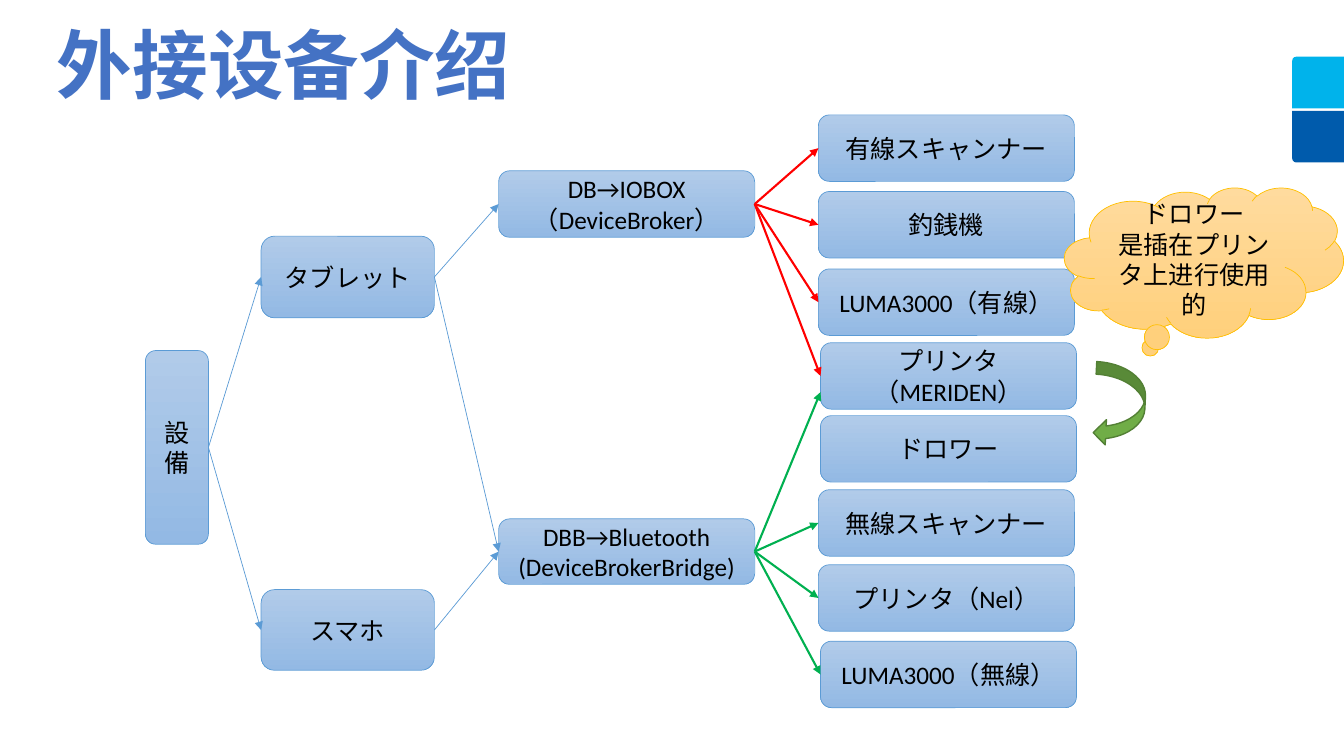
from dataclasses import dataclass

from lxml import etree
from pptx import Presentation
from pptx.dml.color import RGBColor
from pptx.enum.shapes import MSO_CONNECTOR, MSO_SHAPE
from pptx.enum.text import MSO_ANCHOR, PP_ALIGN
from pptx.oxml.ns import qn
from pptx.shapes.autoshape import Shape
from pptx.shapes.connector import Connector
from pptx.slide import Slide
from pptx.util import Pt

ROUNDED = MSO_SHAPE.ROUNDED_RECTANGLE
CORNER = MSO_SHAPE.ROUND_1_RECTANGLE
CLOUD = MSO_SHAPE.CLOUD_CALLOUT
CURVED_ARROW = MSO_SHAPE.CURVED_RIGHT_ARROW
STRAIGHT = MSO_CONNECTOR.STRAIGHT
CENTER = PP_ALIGN.CENTER
MIDDLE = MSO_ANCHOR.MIDDLE
LEFT_SIDE, RIGHT_SIDE = 1, 3

BLACK = RGBColor(0x00, 0x00, 0x00)
TITLE_BLUE = RGBColor(0x44, 0x72, 0xC4)
BOX_TOP = RGBColor(0xB1, 0xCB, 0xE9)
BOX_BOTTOM = RGBColor(0x93, 0xB9, 0xE4)
BOX_LINE = RGBColor(0x5B, 0x9B, 0xD5)
CLOUD_TOP = RGBColor(0xFF, 0xDB, 0x9E)
CLOUD_BOTTOM = RGBColor(0xFF, 0xD0, 0x7C)
CLOUD_LINE = RGBColor(0xFF, 0xC0, 0x00)
WIRED_RED = RGBColor(0xFF, 0x00, 0x00)
WIRELESS_GREEN = RGBColor(0x00, 0xB0, 0x50)
ARROW_GREEN = RGBColor(0x70, 0xAD, 0x47)
ARROW_LINE = RGBColor(0x53, 0x80, 0x35)
LIGHT_BLUE = RGBColor(0x00, 0xB3, 0xEB)
DARK_BLUE = RGBColor(0x00, 0x5B, 0xAC)

LATIN_FONT = "Calibri"
CJK_FONT = "Noto Sans CJK SC"
WIDE, HIGH = 182.9, 47.5
DEVICE_LEFT, INDENTED_LEFT = 584.6, 586.1


@dataclass(frozen=True)
class Box:
    name: str
    text: str
    left: float
    top: float
    width: float = WIDE
    height: float = HIGH


@dataclass(frozen=True)
class Link:
    start: str
    end: str
    color: RGBColor = BOX_LINE
    weight: float = 0.5


BOXES = [
    Box("equipment", "設備", 103.9, 250.4, 45, 138.4),
    Box("tablet", "タブレット", 186.5, 168.7, 123.8, 58.3),
    Box("phone", "スマホ", 186.5, 421.2, 123.8, 57.6),
    Box("bridge", "DBB→Bluetooth\n(DeviceBrokerBridge)", 356.2, 370.6, height=46.8),
    Box("broker", "DB→IOBOX\n（DeviceBroker）", 356.2, 122),
    Box("wired scanner", "有線スキャンナー", DEVICE_LEFT, 82.1),
    Box("change machine", "釣銭機", DEVICE_LEFT, 136.8),
    Box("wired terminal", "LUMA3000（有線）", DEVICE_LEFT, 192.1),
    Box("shared printer", "プリンタ（MERIDEN）", INDENTED_LEFT, 244.8),
    Box("drawer", "ドロワー", INDENTED_LEFT, 296.9),
    Box("wireless scanner", "無線スキャンナー", DEVICE_LEFT, 349.8),
    Box("wireless printer", "プリンタ（Nel）", DEVICE_LEFT, 403.4),
    Box("wireless terminal", "LUMA3000（無線）", INDENTED_LEFT, 458),
]

LINKS = [
    Link("equipment", "tablet"),
    Link("equipment", "phone"),
    Link("tablet", "broker"),
    Link("tablet", "bridge"),
    Link("phone", "bridge"),
    *(Link("broker", name, WIRED_RED, 1.5) for name in
      ("wired scanner", "change machine", "wired terminal", "shared printer")),
    *(Link("bridge", name, WIRELESS_GREEN, 1.5) for name in
      ("wireless scanner", "wireless printer", "wireless terminal")),
]


def write_text(shape: Shape, text: str, *, size: float = 18, font: str = LATIN_FONT,
               color: RGBColor = BLACK, bold: bool = False, wrap: bool = True) -> None:
    frame = shape.text_frame
    frame.word_wrap = wrap
    for index, line in enumerate(text.split("\n")):
        paragraph = frame.add_paragraph() if index else frame.paragraphs[0]
        paragraph.alignment = CENTER
        run = paragraph.add_run()
        run.text = line
        run.font.size = Pt(size)
        run.font.name = font
        run.font.bold = bold
        run.font.color.rgb = color
        east_asian = etree.SubElement(run.font._element, qn("a:ea"))
        east_asian.set("typeface", CJK_FONT)


def add_filled(slide: Slide, kind: MSO_SHAPE, left: float, top: float, width: float,
               height: float, *, fill: tuple[RGBColor, ...], line: RGBColor | None = None,
               weight: float = 0.5, flips: tuple[str, ...] = ()) -> Shape:
    shape = slide.shapes.add_shape(kind, Pt(left), Pt(top), Pt(width), Pt(height))
    shape.shadow.inherit = False
    if len(fill) == 1:
        shape.fill.solid()
        shape.fill.fore_color.rgb = fill[0]
    else:
        shape.fill.gradient()
        shape.fill.gradient_angle = 270
        for stop, color in zip(shape.fill.gradient_stops, fill):
            stop.color.rgb = color
    if line is None:
        shape.line.fill.background()
    else:
        shape.line.color.rgb = line
        shape.line.width = Pt(weight)
    for flip in flips:
        shape.element.spPr.find(qn("a:xfrm")).set(flip, "1")
    shape.text_frame.vertical_anchor = MIDDLE
    return shape


def add_arrow(slide: Slide, start: Shape, color: RGBColor, weight: float,
              end: Shape | None = None, tip: tuple[float, float] = (0, 0)) -> Connector:
    connector = slide.shapes.add_connector(STRAIGHT, 0, 0, Pt(tip[0]), Pt(tip[1]))
    connector.begin_connect(start, RIGHT_SIDE)
    if end is not None:
        connector.end_connect(end, LEFT_SIDE)
    connector.line.color.rgb = color
    connector.line.width = Pt(weight)
    line = connector.line._get_or_add_ln()
    etree.SubElement(line, qn("a:tailEnd")).set("type", "triangle")
    etree.SubElement(connector.element.spPr, qn("a:effectLst"))
    return connector


def main() -> None:
    presentation = Presentation()
    presentation.slide_width, presentation.slide_height = Pt(960), Pt(540)
    slide = presentation.slides.add_slide(presentation.slide_layouts[6])

    # Corner tabs at the right edge
    for top, color, flips in ((40.5, LIGHT_BLUE, ("flipH",)),
                              (79.2, DARK_BLUE, ("flipH", "flipV"))):
        tab = add_filled(slide, CORNER, 923, top, 37, 36.9, fill=(color,), flips=flips)
        tab.adjustments[0] = 0.08

    # Title
    title = slide.shapes.add_textbox(Pt(31.7), Pt(9.4), Pt(342), Pt(72.7))
    write_text(title, "外接设备介绍", size=54, font=CJK_FONT, color=TITLE_BLUE,
               bold=True, wrap=False)

    # Device tree
    shapes: dict[str, Shape] = {}
    for box in BOXES:
        shape = add_filled(slide, ROUNDED, box.left, box.top, box.width, box.height,
                           fill=(BOX_TOP, BOX_BOTTOM), line=BOX_LINE)
        write_text(shape, box.text)
        shapes[box.name] = shape
    for link in LINKS:
        add_arrow(slide, shapes[link.start], link.color, link.weight, shapes[link.end])
    add_arrow(slide, shapes["bridge"], WIRELESS_GREEN, 1.5, tip=(INDENTED_LEFT, 280.1))

    # Curved arrow from printer to drawer
    curve = add_filled(slide, CURVED_ARROW, 781.9, 259.2, 36, 59.8, fill=(ARROW_GREEN,),
                       line=ARROW_LINE, weight=1, flips=("flipH",))
    curve.rotation = 2.9

    # Drawer remark
    cloud = add_filled(slide, CLOUD, 760.3, 133.9, 199.4, 107.3,
                       fill=(CLOUD_TOP, CLOUD_BOTTOM), line=CLOUD_LINE)
    cloud.adjustments[0], cloud.adjustments[1] = -0.2, 0.59
    write_text(cloud, "ドロワー\n是插在プリンタ上进行使用的")

    presentation.save("out.pptx")


if __name__ == "__main__":
    main()
